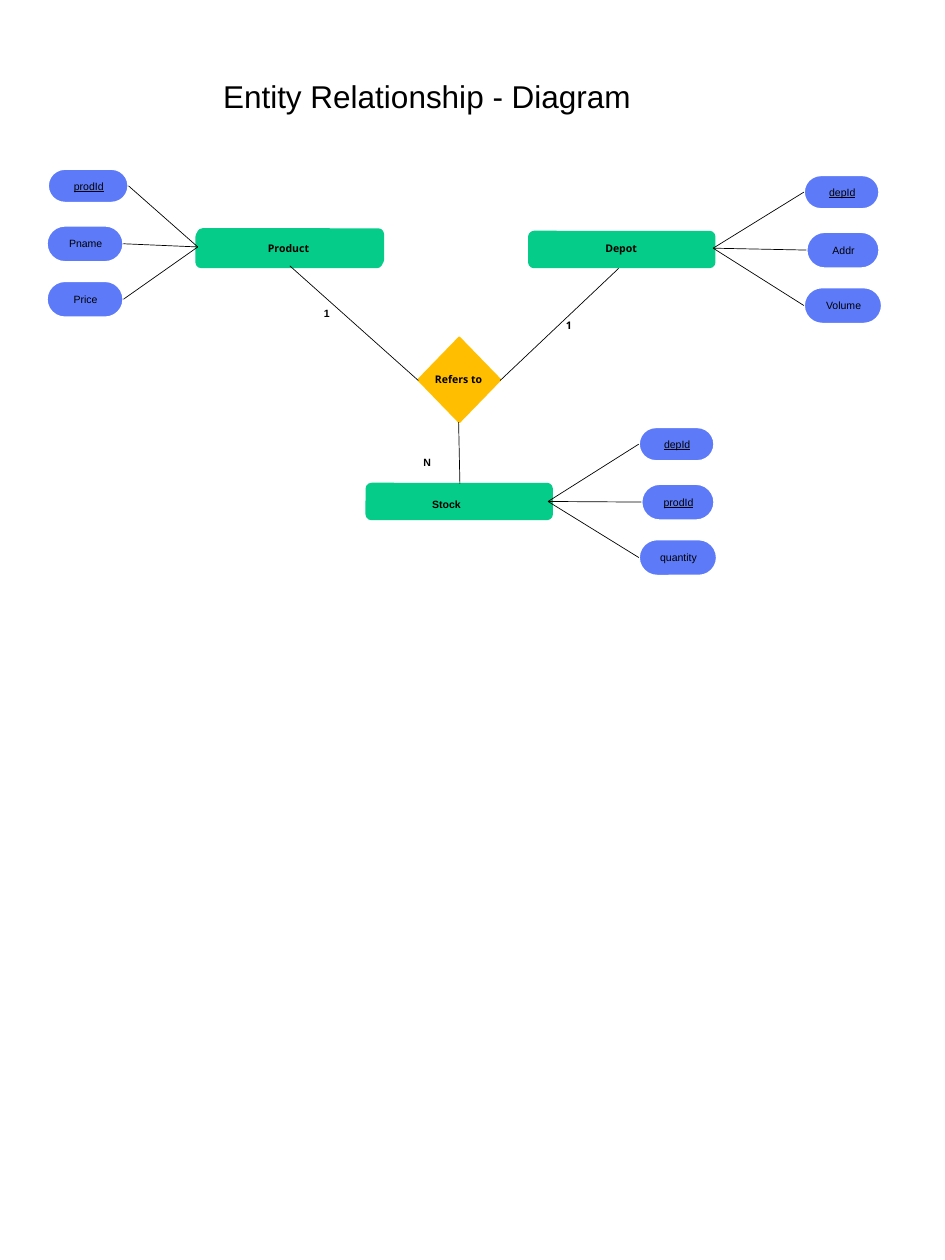
"""Build an entity relationship diagram of products, depots and stock."""
import pptx
import pptx.dml.color
import pptx.enum.shapes
import pptx.enum.text
import pptx.oxml
import pptx.oxml.ns
import pptx.util

Inches = pptx.util.Inches
RGBColor = pptx.dml.color.RGBColor
Shape = pptx.enum.shapes.MSO_SHAPE
Align = pptx.enum.text.PP_ALIGN
Anchor = pptx.enum.text.MSO_ANCHOR

GREEN = RGBColor(0x06, 0xCC, 0x8A)
BLUE = RGBColor(0x5D, 0x7A, 0xF9)
AMBER = RGBColor(0xFF, 0xBF, 0x00)
WHITE = RGBColor(0xFF, 0xFF, 0xFF)
BLACK = RGBColor(0x00, 0x00, 0x00)

ENTITY_SIZE = (1.47, 0.28)
ENTITIES = [(1.56, 1.84), (1.57, 1.82), (4.2, 1.84), (2.91, 3.84)]
ATTRIBUTE_DROPS = (0, 0.45, 0.89)
CAPTION_HEIGHT = 0.1

PRODUCT_PILLS = [(0.01, 0.64, 0.27), (0, 0.61, 0.29), (0, 0.61, 0.29)]
STORAGE_PILLS = [(0, 0.6, 0.27), (0.02, 0.58, 0.29), (0, 0.62, 0.29)]

# pylint: disable=too-many-arguments


def write(frame, words, size, font, bold=False, underline=False,
          align=Align.LEFT, anchor=Anchor.TOP, spacing=1.0):
    """Put one formatted run into a text frame."""
    frame.word_wrap = True
    frame.auto_size = pptx.enum.text.MSO_AUTO_SIZE.SHAPE_TO_FIT_TEXT
    frame.vertical_anchor = anchor
    paragraph = frame.paragraphs[0]
    paragraph.alignment = align
    paragraph.line_spacing = spacing
    run = paragraph.add_run()
    run.text = words
    run.font.size = pptx.util.Pt(size)
    run.font.name = font
    run.font.bold = bold
    run.font.underline = underline
    run.font.color.rgb = BLACK


def add_caption(slide, words, left, top, width, font="Arial", **style):
    """Add a small text box without margins."""
    box = slide.shapes.add_textbox(
        Inches(left), Inches(top), Inches(width), Inches(CAPTION_HEIGHT))
    frame = box.text_frame
    frame.margin_left = frame.margin_right = 0
    frame.margin_top = frame.margin_bottom = 0
    write(frame, words, 6, font, **style)


def add_block(slide, preset, left, top, width, height, fill, outline,
              rounding=None):
    """Add a filled and outlined preset shape."""
    block = slide.shapes.add_shape(
        preset, Inches(left), Inches(top), Inches(width), Inches(height))
    block.shadow.inherit = False
    block.fill.solid()
    block.fill.fore_color.rgb = fill
    block.line.color.rgb = outline
    block.line.width = pptx.util.Pt(1.22)
    if rounding is not None:
        block.adjustments[0] = rounding


def add_link(slide, start, end):
    """Add a thin black line between two points."""
    link = slide.shapes.add_connector(
        pptx.enum.shapes.MSO_CONNECTOR.STRAIGHT,
        *(Inches(value) for value in (*start, *end)))
    link.line.color.rgb = BLACK
    link.line.width = pptx.util.Pt(0.4)
    effects = pptx.oxml.parse_xml(
        f"<a:effectLst {pptx.oxml.ns.nsdecls('a')}/>")
    link._element.spPr.append(effects)


def add_attributes(slide, left, top, hub, pills, names, keys):
    """Add a column of attribute pills, each linked to its entity."""
    for drop, (indent, width, height), name in zip(
            ATTRIBUTE_DROPS, pills, names):
        pill_left, pill_top = left + indent, top + drop
        add_block(slide, Shape.ROUNDED_RECTANGLE, pill_left, pill_top,
                  width, height, BLUE, WHITE, rounding=0.5)
        add_caption(slide, name, pill_left + 0.09,
                    pill_top + (height - CAPTION_HEIGHT) / 2, width - 0.17,
                    underline=name in keys, align=Align.CENTER,
                    anchor=Anchor.MIDDLE)
        near_edge = pill_left if hub[0] > pill_left + width else pill_left
        if hub[0] > pill_left:
            near_edge = pill_left + width
        add_link(slide, hub, (near_edge, pill_top + height / 2))


def add_title(slide, words):
    """Place and format the slide title."""
    title = slide.shapes.title
    title.left, title.top = Inches(1.67), Inches(0.56)
    title.width, title.height = Inches(3.83), Inches(0.4)
    write(title.text_frame, words, 18, "Arial")


def main():
    """Build and save the diagram."""
    deck = pptx.Presentation()
    deck.slide_width, deck.slide_height = Inches(7.5), Inches(10)
    slide = deck.slides.add_slide(deck.slide_layouts[5])
    add_title(slide, "Entity Relationship - Diagram")

    for left, top in ENTITIES:
        add_block(slide, Shape.ROUNDED_RECTANGLE, left, top, *ENTITY_SIZE,
                  GREEN, GREEN, rounding=0.14)
    add_block(slide, Shape.DIAMOND, 3.32, 2.68, 0.65, 0.67, AMBER, AMBER)

    for words, left, top, width in [("Product", 1.87, 1.92, 0.84),
                                    ("Depot", 4.4, 1.92, 1.06),
                                    ("Refers to", 3.41, 2.96, 0.46)]:
        add_caption(slide, words, left, top, width, font="Open Sans",
                    bold=True, align=Align.CENTER, anchor=Anchor.MIDDLE)
    add_caption(slide, "1", 4.49, 2.53, 0.48, font="Open Sans", bold=True)
    for words, left, top, width in [("Stock", 3.43, 3.94, 0.31),
                                    ("1", 2.57, 2.43, 0.46),
                                    ("N", 3.36, 3.61, 0.11)]:
        add_caption(slide, words, left, top, width, bold=True, spacing=1.11)

    add_attributes(slide, 0.37, 1.34, (1.57, 1.96), PRODUCT_PILLS,
                   ["prodId", "Pname", "Price"], {"prodId"})
    add_attributes(slide, 6.38, 1.39, (5.66, 1.97), STORAGE_PILLS,
                   ["depId", "Addr", "Volume"], {"depId"})
    add_attributes(slide, 5.07, 3.39, (4.35, 3.98), STORAGE_PILLS,
                   ["depId", "prodId", "quantity"], {"depId", "prodId"})

    for start, end in [((2.3, 2.11), (3.32, 3.02)),
                       ((4.91, 2.13), (3.97, 3.02)),
                       ((3.64, 3.35), (3.65, 3.84))]:
        add_link(slide, start, end)
    deck.save("out.pptx")


if __name__ == "__main__":
    main()
